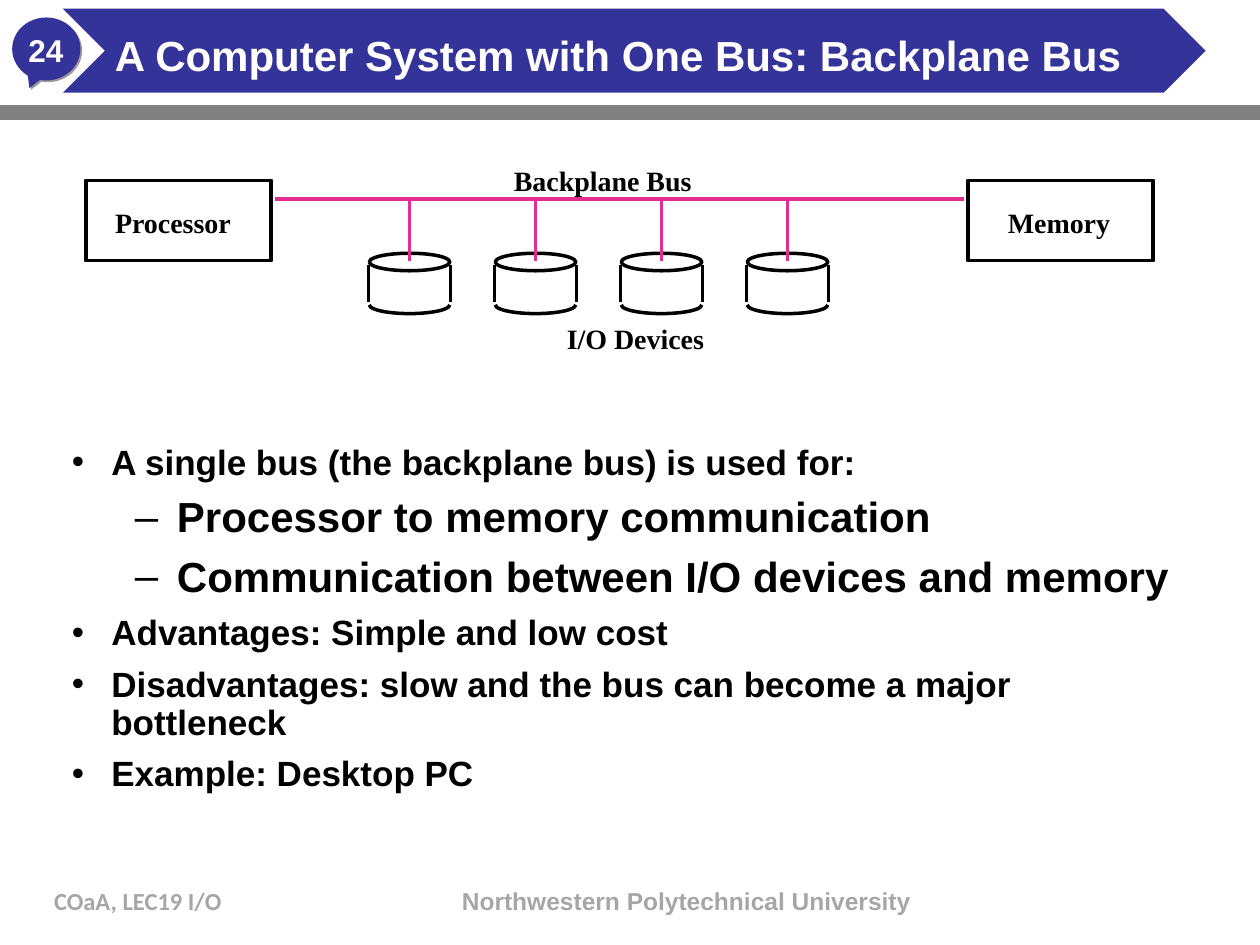
import pptx
import pptx.util
import pptx.dml.color
import pptx.enum.shapes
import pptx.enum.text
import pptx.oxml
import pptx.oxml.ns

Pt = pptx.util.Pt
Kind = pptx.enum.shapes.MSO_SHAPE
Align = pptx.enum.text.PP_ALIGN
Anchor = pptx.enum.text.MSO_ANCHOR
NAVY, GREY, PALE, PINK = "333399", "808080", "A6A6A6", "E32D91"
BLACK, WHITE = "000000", "FFFFFF"
SERIF = "Times New Roman"


def color(code):
    return pptx.dml.color.RGBColor.from_string(code)


def add_xml(parent, text):
    """Append the element in text, with NS standing for its namespace."""
    names = pptx.oxml.ns.nsdecls("a")
    parent.append(pptx.oxml.parse_xml(text.replace("NS", names, 1)))


class Page:
    def __init__(self, slide):
        self.slide = slide
        self.shapes = slide.shapes
        self.weight = Pt(2)

    def shape(self, kind, x, y, w, h, fill=None, line=None, adjust=()):
        item = self.shapes.add_shape(kind, Pt(x), Pt(y), Pt(w), Pt(h))
        item.shadow.inherit = False
        for i, value in enumerate(adjust):
            item.adjustments[i] = value
        if fill:
            item.fill.solid()
            item.fill.fore_color.rgb = color(fill)
        else:
            item.fill.background()
        if line:
            item.line.color.rgb = color(line)
            item.line.width = self.weight
        else:
            item.line.fill.background()
        return item

    def line(self, x1, y1, x2, y2, ink):
        item = self.shapes.add_connector(
            pptx.enum.shapes.MSO_CONNECTOR.STRAIGHT, Pt(x1), Pt(y1), Pt(x2), Pt(y2))
        item.line.color.rgb = color(ink)
        item.line.width = self.weight
        add_xml(item._element.spPr, "<a:effectLst NS/>")

    def run(self, para, text, size, ink, font="Arial"):
        run = para.add_run()
        run.text = text
        run.font.size = Pt(size)
        run.font.name = font
        run.font.bold = True
        run.font.color.rgb = color(ink)

    def label(self, text, x, y, w, h, size=16, ink=BLACK, font=SERIF,
              align=Align.LEFT, wrap=False, side=7.2):
        box = self.shapes.add_textbox(Pt(x), Pt(y), Pt(w), Pt(h))
        frame = box.text_frame
        frame.word_wrap = wrap
        frame.margin_left = frame.margin_right = Pt(side)
        para = frame.paragraphs[0]
        para.alignment = align
        self.run(para, text, size, ink, font)

    def holder(self, item, x, y, w, h):
        """Place a placeholder in front of the shapes drawn so far."""
        item.left, item.top, item.width, item.height = Pt(x), Pt(y), Pt(w), Pt(h)
        tree = item._element.getparent()
        tree.append(item._element)
        frame = item.text_frame
        frame.auto_size = pptx.enum.text.MSO_AUTO_SIZE.NONE
        frame.word_wrap = True
        frame.vertical_anchor = Anchor.TOP
        frame.margin_left = frame.margin_right = Pt(2.2)
        frame.margin_top = frame.margin_bottom = Pt(2.2)
        return frame

    def title(self, text, *place):
        para = self.holder(self.slide.shapes.title, *place).paragraphs[0]
        para.alignment = Align.LEFT
        para.line_spacing = 0.9
        self.run(para, text, 24, WHITE)

    def list(self, items, *place):
        frame = self.holder(self.slide.placeholders[1], *place)
        styles = [("•", 22.5, -22.5, 20), ("–", 60, -24, 24)]
        for i, (level, text) in enumerate(items):
            mark, left, hang, size = styles[level]
            para = frame.add_paragraph() if i else frame.paragraphs[0]
            para.level = level
            props = para._p.get_or_add_pPr()
            props.set("marL", str(Pt(left)))
            props.set("indent", str(Pt(hang)))
            add_xml(props, '<a:buFont NS typeface="Arial"/>')
            add_xml(props, f'<a:buChar NS char="{mark}"/>')
            para.line_spacing = 0.9
            para.space_before = Pt(8 if i else 0)
            self.run(para, text, size, BLACK)

    def disk(self, mid):
        """Draw one device as an open cylinder centred on mid."""
        self.shapes = self.slide.shapes.add_group_shape().shapes
        self.shape(Kind.OVAL, mid - 23, 144.7, 46, 10, line=BLACK)
        self.shape(Kind.ARC, mid - 23, 169.2, 46, 10, line=BLACK, adjust=(0, 108))
        for x in (mid - 23.5, mid + 23.5):
            self.line(x, 151.2, x, 172.8, BLACK)
        self.shapes = self.slide.shapes


def main():
    deck = pptx.Presentation()
    deck.slide_width, deck.slide_height = Pt(720), Pt(540)
    page = Page(deck.slides.add_slide(deck.slide_layouts[1]))

    badge = page.shape(Kind.OVAL_CALLOUT, 7, 10, 39, 36, NAVY, adjust=(-0.248, 0.622))
    props = badge._element.spPr
    props.remove(props.find(pptx.oxml.ns.qn("a:effectLst")))
    add_xml(props, '<a:effectLst NS><a:outerShdw dist="17780" dir="2700000">'
                   '<a:srgbClr val="999999"/></a:outerShdw></a:effectLst>')
    page.shape(Kind.RECTANGLE, 0, 60, 720, 8.6, GREY)
    page.shape(Kind.CHEVRON, 36, 5, 653, 48, NAVY, adjust=(0.5,))
    page.label("24", 11.5, 14.4, 29.5, 28.8, 18, WHITE, "Arial", Align.CENTER, side=3.6)
    page.label("COaA, LEC19 I/O", 23.8, 502.6, 150, 36, 14, PALE, "Calibri", wrap=True)
    page.label("Northwestern Polytechnical University", 251.3, 502.6, 282, 36,
               14, PALE, "Arial", Align.CENTER, True)

    page.title("A Computer System with One Bus: Backplane Bus", 63.4, 18, 656, 28.8)
    page.list([
        (0, "A single bus (the backplane bus) is used for:"),
        (1, "Processor to memory communication"),
        (1, "Communication between I/O devices and memory"),
        (0, "Advantages: Simple and low cost"),
        (0, "Disadvantages: slow and the bus can become a major bottleneck"),
        (0, "Example: Desktop PC"),
    ], 38.9, 252, 645, 212)

    for left in (49, 553):
        page.shape(Kind.RECTANGLE, left, 103, 106, 46, line=BLACK)
    page.line(157, 113.8, 551, 113.8, PINK)
    for i in range(4):
        mid = 234 + 72 * i
        page.disk(mid)
        page.line(mid, 115, mid, 149, PINK)
    for text, x, y, w in [("Processor", 58.7, 113.8, 81), ("Memory", 568.8, 113.8, 73),
                          ("I/O Devices", 316.8, 180, 93),
                          ("Backplane Bus", 286.6, 90, 116)]:
        page.label(text, x, y, w, 26)

    deck.save("out.pptx")


if __name__ == "__main__":
    main()
